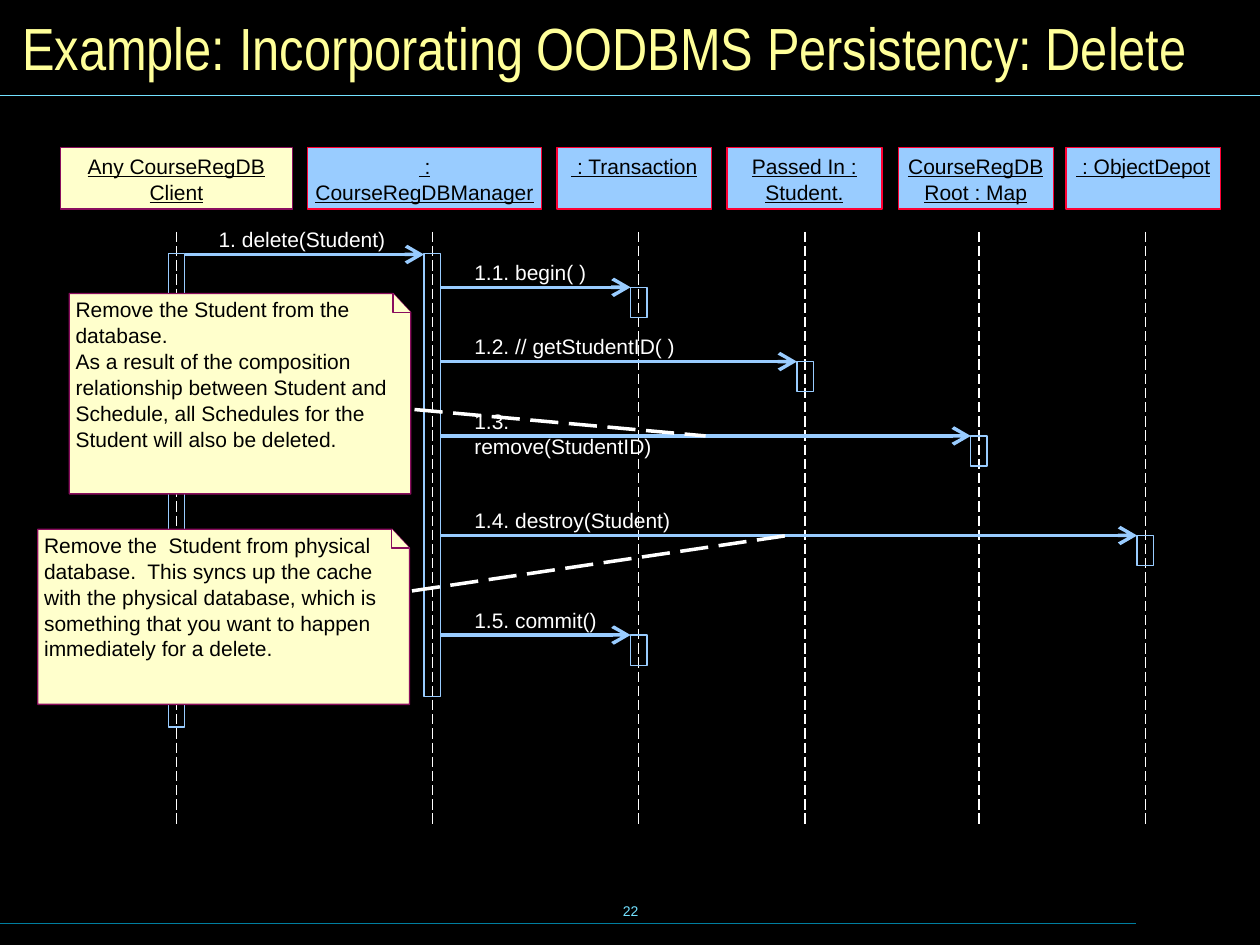
from lxml import etree
from pptx import Presentation
from pptx.dml.color import RGBColor
from pptx.enum.dml import MSO_LINE
from pptx.enum.shapes import MSO_CONNECTOR, MSO_SHAPE
from pptx.enum.text import MSO_ANCHOR as ANCHOR, PP_ALIGN as ALIGN
from pptx.oxml.ns import qn
from pptx.util import Inches, Pt

COLS, ROWS = 100, 75
COLORS = {
    "bg": "000000", "title": "FFFF99", "rule": "73E1FF", "footer": "007E9F",
    "note": "FFFFCC", "note_line": "8A0E5E", "object": "99CCFF",
    "object_line": "FF0033", "ink": "000000", "white": "FFFFFF",
}
BAR_W, BAR_H, HEAD_H = 1.3, 2.4, 4.9
FOLD_W, FOLD_H = 1.4, 1.5

PARTICIPANTS = {
    "client": (["Any CourseRegDB", "Client"], 4.8, 18.4, 14.0),
    "manager": ([" :", "CourseRegDBManager"], 24.4, 18.6, 34.3),
    "transaction": ([" : Transaction"], 44.2, 12.3, 50.7),
    "student": (["Passed In :", "Student."], 57.7, 12.3, 63.9),
    "map": (["CourseRegDB", "Root : Map"], 71.3, 12.3, 77.7),
    "store": ([" : ObjectDepot"], 84.6, 12.3, 90.9),
}
LONG_BARS = {"client": 37.6, "manager": 35.2}
MESSAGES = [
    ("1. delete(Student)", "client", "manager", 8.5),
    ("1.1. begin( )", "manager", "transaction", 11.1),
    ("1.2. // getStudentID( )", "manager", "student", 17.0),
    ("1.3. remove(StudentID)", "manager", "map", 22.9),
    ("1.4. destroy(Student)", "manager", "store", 30.8),
    ("1.5. commit()", "manager", "transaction", 38.7),
]
NOTES = [
    ((5.5, 23.3, 27.1, 15.9),
     ["Remove the Student from the database.",
      "As a result of the composition relationship between Student and "
      "Schedule, all Schedules for the Student will also be deleted."],
     (32.9, 32.5), (56.0, 34.6)),
    ((3.0, 42.0, 29.5, 13.9),
     ["Remove the  Student from physical database.  This syncs up the cache "
      "with the physical database, which is something that you want to "
      "happen immediately for a delete."],
     (32.7, 46.9), (62.5, 42.5)),
]

prs = Presentation()
prs.slide_width, prs.slide_height = Inches(10), Inches(7.5)
s = prs.slides.add_slide(prs.slide_layouts[6])


def rgb(name):
    return RGBColor.from_string(COLORS[name])


def gx(cols):
    return round(prs.slide_width * cols / COLS)


def gy(rows):
    return round(prs.slide_height * rows / ROWS)


def place(box):
    x, y, w, h = box
    return gx(x), gy(y), gx(w), gy(h)


def write(sp, lines, size=12, color="ink", font="Arial", align=ALIGN.LEFT,
          anchor=ANCHOR.TOP, underline=None, insets=(0, 0, 0, 0), wrap=False,
          spacing=None):
    tf = sp.text_frame
    tf.word_wrap, tf.vertical_anchor = wrap, anchor
    tf.margin_left, tf.margin_top, tf.margin_right, tf.margin_bottom = map(Inches, insets)
    for i, line in enumerate(lines):
        p = tf.add_paragraph() if i else tf.paragraphs[0]
        p.alignment = align
        if spacing:
            p.line_spacing = Pt(spacing)
        r = p.add_run()
        r.text = line
        r.font.size, r.font.name = Pt(size), font
        r.font.underline = underline
        r.font.color.rgb = rgb(color)


def label(box, text, **fmt):
    write(s.shapes.add_textbox(*place(box)), [text], **fmt)


def style(sp, line, fill=None):
    sp.shadow.inherit = False
    if fill:
        sp.fill.solid()
        sp.fill.fore_color.rgb = rgb(fill)
    else:
        sp.fill.background()
    sp.line.color.rgb = rgb(line)
    sp.line.width = Pt(0)
    return sp


def rect(box, line, fill=None):
    return style(s.shapes.add_shape(MSO_SHAPE.RECTANGLE, *place(box)), line, fill)


def outline(points, line, fill):
    (x0, y0), *rest = [(gx(x), gy(y)) for x, y in points]
    fb = s.shapes.build_freeform(x0, y0)
    fb.add_line_segments(rest, close=False)
    return style(fb.convert_to_shape(), line, fill)


def line(start, end, color, width=0, dashed=False, arrow=False):
    c = s.shapes.add_connector(MSO_CONNECTOR.STRAIGHT, gx(start[0]), gy(start[1]),
                               gx(end[0]), gy(end[1]))
    c.line.color.rgb = rgb(color)
    c.line.width = Pt(width)
    if dashed:
        c.line.dash_style = MSO_LINE.LONG_DASH
    if arrow:
        etree.SubElement(c.line._get_or_add_ln(), qn("a:tailEnd"),
                         type="arrow", w="lg", len="lg")
    etree.SubElement(c._element.spPr, qn("a:effectLst"))


def frame(box):
    x, y, w, h = box
    label((x + w / 2 - 15.8, y + 69.8, 31.7, 5), "22", size=8, color="rule",
          align=ALIGN.CENTER, anchor=ANCHOR.MIDDLE, insets=(0.1, 0.05, 0.1, 0.05))
    line((x, y + 73.3), (x + 0.902 * w, y + 73.3), "footer", 0.75)
    line((x, y + 7.6), (x + w, y + 7.6), "rule", 0.75)
    label((x + 0.8, y + 0.8, w - 1.6, 5.8),
          "Example: Incorporating OODBMS Persistency: Delete",
          size=34, color="title", font="Arial Narrow", wrap=True,
          anchor=ANCHOR.MIDDLE, insets=(0.1, 0.05, 0.1, 0.05))


def participant(box, key):
    x, y, w, h = box
    lines, left, width, life = PARTICIPANTS[key]
    colors = ("note_line", "note") if key == "client" else ("object_line", "object")
    head = rect((x + left, y, width, HEAD_H), *colors)
    write(head, lines, align=ALIGN.CENTER, underline=True, spacing=14.8,
          insets=(0, 0.04, 0, 0))
    line((x + life, y + 6.7), (x + life, y + h), "white", 0.75, dashed=True)
    if key in LONG_BARS:
        rect((x + life - BAR_W / 2, y + 8.4, BAR_W, LONG_BARS[key]), "object")


def message(box, text, source, target, row):
    x, y = box[0], box[1] + row
    start = x + PARTICIPANTS[source][3] + BAR_W / 2
    end = x + PARTICIPANTS[target][3] - BAR_W / 2
    if target not in LONG_BARS:
        rect((end, y, BAR_W, BAR_H), "object")
    line((start, y), (end, y), "object", arrow=True)
    label((start + 2.7, y - 2.2, 17, 2), text, color="white")


def sequence(box):
    for key in PARTICIPANTS:
        participant(box, key)
    for parts in MESSAGES:
        message(box, *parts)


def note(box, lines, link_start, link_end):
    x, y, w, h = box
    right, bottom = x + w, y + h
    fold = [(right - FOLD_W, y), (right, y + FOLD_H)]
    body = outline([(x, y), *fold, (right, bottom), (x, bottom), (x, y)],
                   "note_line", "note")
    write(body, lines, wrap=True, spacing=14.8, insets=(0.05, 0.02, 0.05, 0))
    outline([fold[0], (right - FOLD_W, y + FOLD_H), fold[1]], "note_line", "note")
    line(link_start, link_end, "white", dashed=True)


s.background.fill.solid()
s.background.fill.fore_color.rgb = rgb("bg")
frame((0, 0, COLS, ROWS))
sequence((0, 11.7, COLS, 53.8))
for parts in NOTES:
    note(*parts)
prs.save("out.pptx")
